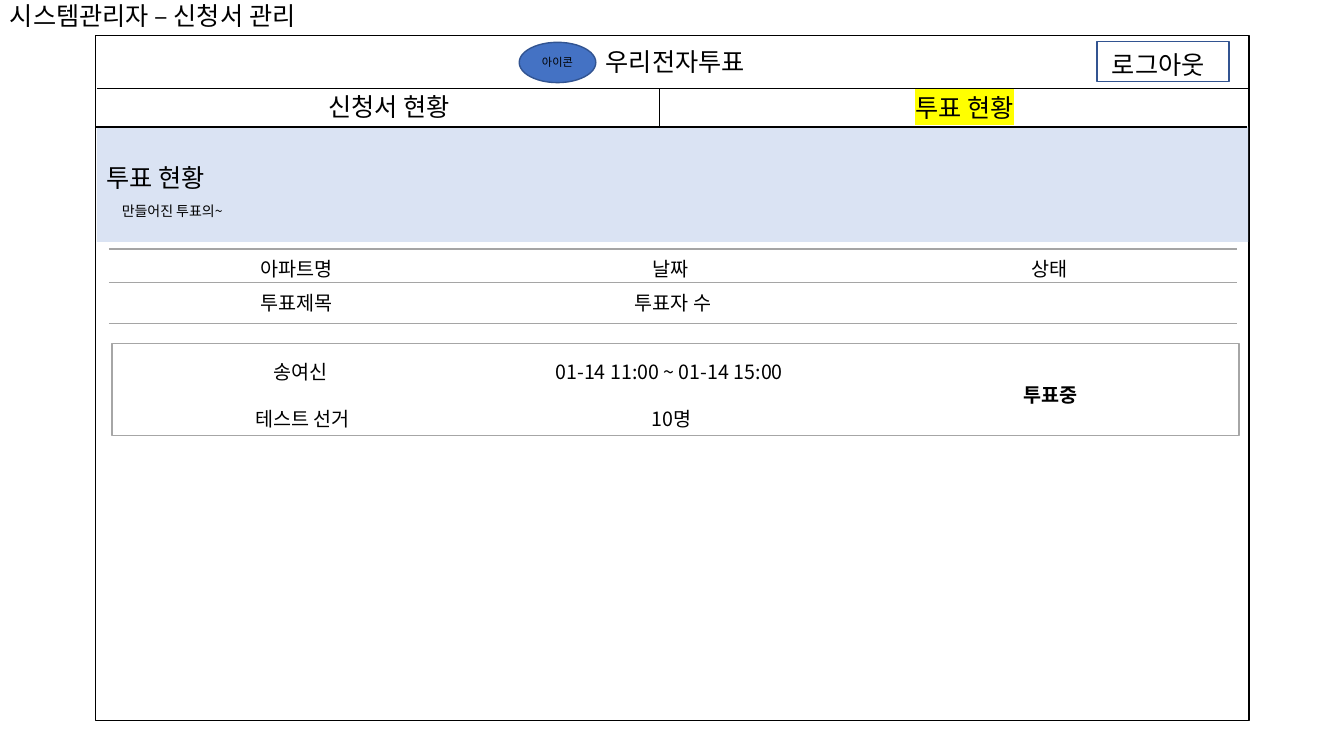
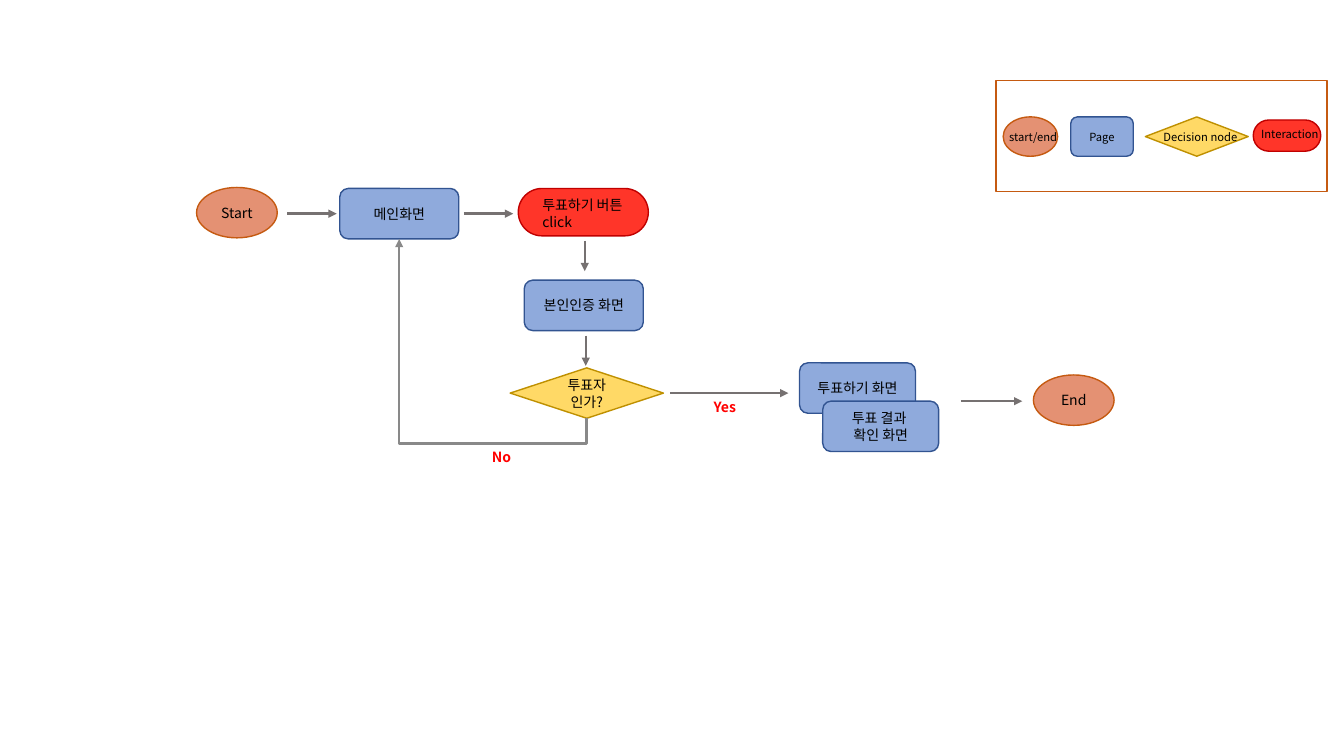
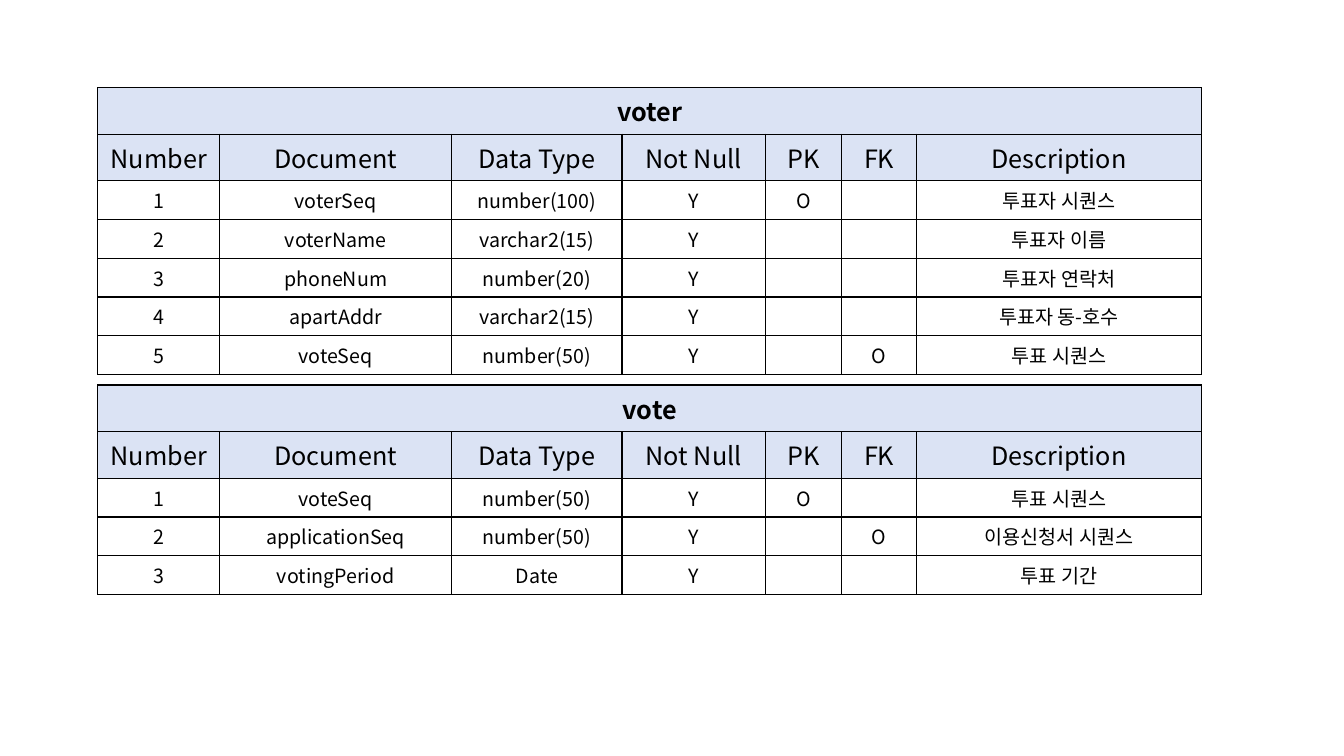
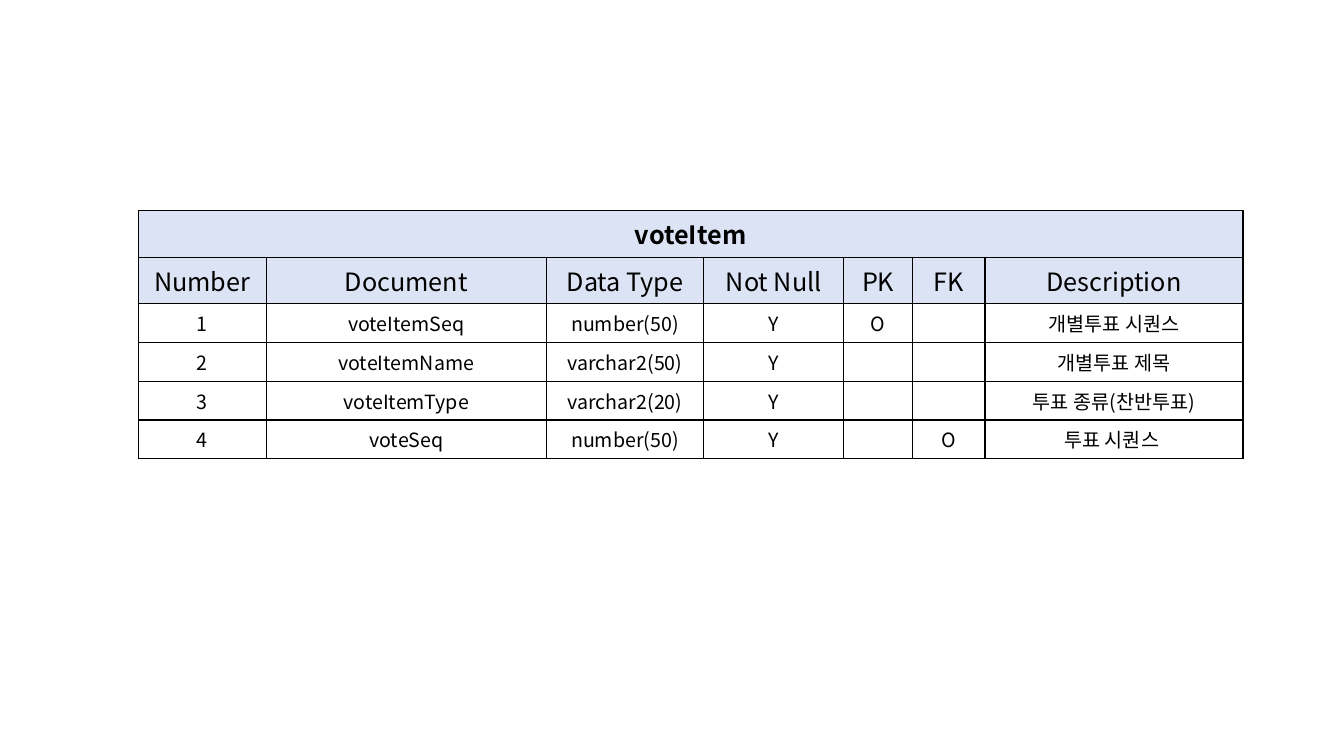
from pptx import Presentation
from pptx.dml.color import RGBColor
from pptx.enum.shapes import MSO_CONNECTOR as CONN, MSO_SHAPE as SHAPE
from pptx.enum.text import MSO_ANCHOR as ANCHOR, MSO_AUTO_SIZE as AUTO, PP_ALIGN as ALIGN
from pptx.oxml.ns import qn
from pptx.util import Pt
from lxml.etree import SubElement

PX = 9144
FONT = "Noto Sans CJK KR"
BLACK, WHITE, RED, YELLOW = "000000", "FFFFFF", "FF0000", "FFFF00"
NAVY, GRAY, ARROW, LOOP = "325491", "A5A5A5", "767171", "898989"
HEAD, BANNER = "DBE3F4", "DAE3F3"
LEFT, CENTER = ALIGN.LEFT, ALIGN.CENTER

KINDS = {
    "terminal": (SHAPE.OVAL, "E49173", "C55A11"),
    "page": (SHAPE.ROUNDED_RECTANGLE, "8FAADC", NAVY),
    "decision": (SHAPE.FLOWCHART_DECISION, "FFD966", "BF9000"),
    "action": (SHAPE.ROUNDED_RECTANGLE, "FF3529", "C00000"),
    "legend": (SHAPE.RECTANGLE, WHITE, "C55A11"),
    "frame": (SHAPE.RECTANGLE, None, BLACK),
    "icon": (SHAPE.OVAL, "4472C4", NAVY),
    "button": (SHAPE.RECTANGLE, None, NAVY),
    "banner": (SHAPE.RECTANGLE, BANNER, None),
    "card": (SHAPE.RECTANGLE, WHITE, "A6A6A6"),
}

ADMIN_SHAPES = [
    ("frame", (95, 35, 1144, 680), "", 18),
    ("icon", (515, 42, 76, 40), "아이콘", 8),
    ("button", (1088, 41, 131, 40), "", 18),
    ("banner", (96, 126, 1142, 114), "", 18),
    ("card", (111, 341, 1118, 91), "", 18),
]
ADMIN_LINES = [
    (96, 88, 1238, 88),
    (654, 126, 654, 88),
    (95, 126, 1237, 126),
]
ADMIN_LABELS = [
    ((591, 41, 185, 40), "우리전자투표", {}),
    ((1093, 44, 126, 40), "로그아웃", {}),
    ((316, 86, 171, 40), "신청서 현황", {}),
    ((898, 87, 141, 40), "투표 현황", {"mark": YELLOW}),
    ((0, -5, 346, 40), "시스템관리자 – 신청서 관리", {}),
    ((96, 156, 270, 40), "투표 현황", {}),
    ((111, 196, 270, 27), "만들어진 투표의~", {"size": 10}),
    ((208, 329, 184, 97), "송여신 \n테스트 선거", {"size": 14, "align": CENTER, "spacing": 2.0}),
    ((505, 329, 322, 97), "01-14 11:00 ~ 01-14 15:00 \n10명",
     {"size": 14, "align": CENTER, "spacing": 2.0}),
    ((992, 352, 100, 50), "투표중", {"size": 14, "align": CENTER, "spacing": 2.0, "bold": True}),
]
ADMIN_ROWS = [["아파트명", "날짜 ", "상태"], ["투표제목", "투표자 수", ""]]

FLOW_SHAPES = [
    ("legend", (988, 80, 328, 110), "", 8),
    ("terminal", (995, 116, 54, 39), "", 8),
    ("page", (1062, 116, 62, 39), "Page", 8),
    ("decision", (1136, 116, 102, 39), "", 8),
    ("action", (1243, 119, 67, 31), "", 8),
    ("terminal", (195, 186, 80, 50), "Start", 10),
    ("page", (337, 187, 118, 50), "메인화면", 10),
    ("action", (514, 187, 129, 47), "", 10),
    ("page", (520, 278, 118, 50), "본인인증 화면", 10),
    ("decision", (506, 365, 152, 50), "투표자 인가?", 10),
    ("page", (793, 360, 115, 50), "투표하기 화면", 10),
    ("page", (816, 398, 115, 50), "투표 결과 \n확인 화면", 10),
    ("terminal", (1025, 372, 80, 50), "End", 10),
]
FLOW_ARROWS = [
    (285, 212, 334, 212),
    (460, 212, 509, 212),
    (580, 239, 580, 269),
    (581, 333, 581, 363),
    (665, 390, 782, 390),
    (953, 398, 1014, 398),
]
NO_LOOP = (582, 415, 396, 237)
LOOP_DROP = 25
FLOW_LABELS = [
    ((991, 124, 70, 54), "start/end", {"size": 8}),
    ((1144, 124, 106, 54), "Decision node", {"size": 8}),
    ((1241, 121, 84, 54), "Interaction", {"size": 8}),
    ((528, 190, 118, 44), "투표하기 버튼\nclick", {"size": 10}),
    ((478, 440, 50, 27), "No", {"size": 10, "bold": True, "color": RED}),
    ((698, 390, 50, 27), "Yes", {"size": 10, "bold": True, "color": RED}),
]

FIELDS = ["Number", "Document", "Data Type", "Not Null", "PK", "FK", "Description"]
VOTER = ("voter", [
    ("voterSeq", "number(100)", "O", "", "투표자 시퀀스"),
    ("voterName", "varchar2(15)", "", "", "투표자 이름"),
    ("phoneNum", "number(20)", "", "", "투표자 연락처"),
    ("apartAddr", "varchar2(15)", "", "", "투표자 동-호수"),
    ("voteSeq", "number(50)", "", "O", "투표 시퀀스"),
])
VOTE = ("vote", [
    ("voteSeq", "number(50)", "O", "", "투표 시퀀스"),
    ("applicationSeq", "number(50)", "", "O", "이용신청서 시퀀스"),
    ("votingPeriod", "Date", "", "", "투표 기간"),
])
VOTE_ITEM = ("voteItem", [
    ("voteItemSeq", "number(50)", "O", "", "개별투표 시퀀스"),
    ("voteItemName", "varchar2(50)", "", "", "개별투표 제목"),
    ("voteItemType", "varchar2(20)", "", "", "투표 종류(찬반투표)"),
    ("voteSeq", "number(50)", "", "O", "투표 시퀀스 "),
])
WIDE_COLS = [121, 230, 169, 142, 76, 74, 283]
ITEM_COLS = [127, 278, 156, 139, 68, 72, 256]
SCHEMAS = [
    [((97, 87), WIDE_COLS, VOTER), ((97, 382), WIDE_COLS, VOTE)],
    [((137, 209), ITEM_COLS, VOTE_ITEM)],
]


def emu(values):
    return [round(v * PX) for v in values]


def rgb(color):
    return RGBColor.from_string(color)


def paint(fill, color):
    if color:
        fill.solid()
        fill.fore_color.rgb = rgb(color)
    else:
        fill.background()


def write(tf, text, size=18, color=BLACK, bold=False, align=LEFT, spacing=None, mark=None):
    for i, line in enumerate(text.split("\n")):
        p = tf.add_paragraph() if i else tf.paragraphs[0]
        for name, value in {"alignment": align, "line_spacing": spacing}.items():
            setattr(p, name, value)
        if not line:
            p._p.get_or_add_endParaRPr().set("sz", str(size * 100))
            continue
        r = p.add_run()
        r.text = line
        for name, value in {"size": Pt(size), "bold": bold, "name": FONT}.items():
            setattr(r.font, name, value)
        r.font.color.rgb = rgb(color)
        rpr = r._r.get_or_add_rPr()
        SubElement(rpr, qn("a:ea")).set("typeface", FONT)
        if mark:
            highlight = SubElement(rpr, qn("a:highlight"))
            SubElement(highlight, qn("a:srgbClr")).set("val", mark)
            rpr.find(qn("a:latin")).addprevious(highlight)


def add_shape(s, kind, at, text, size):
    preset, fill, line = KINDS[kind]
    sp = s.shapes.add_shape(preset, *emu(at))
    sp.shadow.inherit = False
    paint(sp.fill, fill)
    paint(sp.line.fill, line)
    sp.line.width = Pt(1)
    if kind == "action":
        sp.adjustments[0] = 0.5
    if text:
        sp.text_frame.vertical_anchor = ANCHOR.MIDDLE
        write(sp.text_frame, text, size, align=CENTER)


def add_label(s, at, text, style):
    tf = s.shapes.add_textbox(*emu(at)).text_frame
    tf.word_wrap = True
    tf.auto_size = AUTO.SHAPE_TO_FIT_TEXT
    write(tf, text, **style)


def add_line(s, ends, color=BLACK, width=0.75, arrow=False, kind=CONN.STRAIGHT):
    line = s.shapes.add_connector(kind, *emu(ends))
    paint(line.line.fill, color)
    line.line.width = Pt(width)
    if arrow:
        SubElement(line.line._get_or_add_ln(), qn("a:tailEnd")).set("type", "triangle")
    sppr = line._element.spPr
    SubElement(sppr, qn("a:effectLst"))
    return sppr


def add_loop(s, ends, drop):
    x1, y1, x2, y2 = ends
    cx, cy, dx, dy = (x1 + x2) / 2, (y1 + y2) / 2, (x1 - x2) / 2, (y1 - y2) / 2
    turned = (cx + dy, cy - dx, cx - dy, cy + dx)
    sppr = add_line(s, turned, LOOP, 1.75, True, CONN.ELBOW)
    sppr.find(qn("a:xfrm")).set("rot", "5400000")
    guide = SubElement(sppr.find(qn("a:prstGeom")).find(qn("a:avLst")), qn("a:gd"))
    guide.set("name", "adj1")
    guide.set("fmla", f"val {round(-drop / (y1 - y2) * 100000)}")


def style_cell(cell, text, size, fill, sides, color, bold=False):
    write(cell.text_frame, text, size, bold=bold, align=CENTER)
    tcpr = cell._tc.get_or_add_tcPr()
    for side in "LRTB":
        ln = SubElement(tcpr, qn(f"a:ln{side}"))
        ln.set("w", str(Pt(1)))
        if side in sides:
            solid = SubElement(ln, qn("a:solidFill"))
            SubElement(solid, qn("a:srgbClr")).set("val", color)
        else:
            SubElement(ln, qn("a:noFill"))
    paint(cell.fill, fill)


def add_grid(s, at, cols, heights):
    box = emu((*at, sum(cols), sum(heights)))
    table = s.shapes.add_table(len(heights), len(cols), *box).table
    table.first_row = table.horz_banding = False
    for col, width in zip(table.columns, emu(cols)):
        col.width = width
    for row, height in zip(table.rows, emu(heights)):
        row.height = height
    return table


def add_schema(s, at, cols, schema):
    title, fields = schema
    rows = [[title] + [""] * (len(cols) - 1), FIELDS]
    rows += [[str(n), name, kind, "Y", *rest] for n, (name, kind, *rest) in enumerate(fields, 1)]
    table = add_grid(s, at, cols, [46, 46] + [38] * len(fields))
    for i, row in enumerate(rows):
        size, fill = (18, HEAD) if i < 2 else (14, WHITE)
        for j, text in enumerate(row):
            style_cell(table.cell(i, j), text, size, fill, "LRTB", BLACK, bold=i == 0)
    table.cell(0, 0).merge(table.cell(0, len(cols) - 1))


def add_admin_table(s):
    table = add_grid(s, (108, 247), [373] * 3, [33, 41])
    for i, row in enumerate(ADMIN_ROWS):
        for j, text in enumerate(row):
            cell = table.cell(i, j)
            style_cell(cell, text, 14, WHITE, "TB", GRAY)
            cell.margin_bottom = 0


def add_parts(s, shapes, labels):
    for shape in shapes:
        add_shape(s, *shape)
    for label in labels:
        add_label(s, *label)


def main():
    prs = Presentation()
    prs.slide_width, prs.slide_height = emu((1333, 750))
    blank = prs.slide_layouts[6]

    s = prs.slides.add_slide(blank)
    add_parts(s, ADMIN_SHAPES, ADMIN_LABELS)
    for ends in ADMIN_LINES:
        add_line(s, ends)
    add_admin_table(s)

    s = prs.slides.add_slide(blank)
    add_parts(s, FLOW_SHAPES, FLOW_LABELS)
    for ends in FLOW_ARROWS:
        add_line(s, ends, ARROW, 1.75, True)
    add_loop(s, NO_LOOP, LOOP_DROP)

    for schemas in SCHEMAS:
        s = prs.slides.add_slide(blank)
        for schema in schemas:
            add_schema(s, *schema)

    prs.save("out.pptx")


if __name__ == "__main__":
    main()
